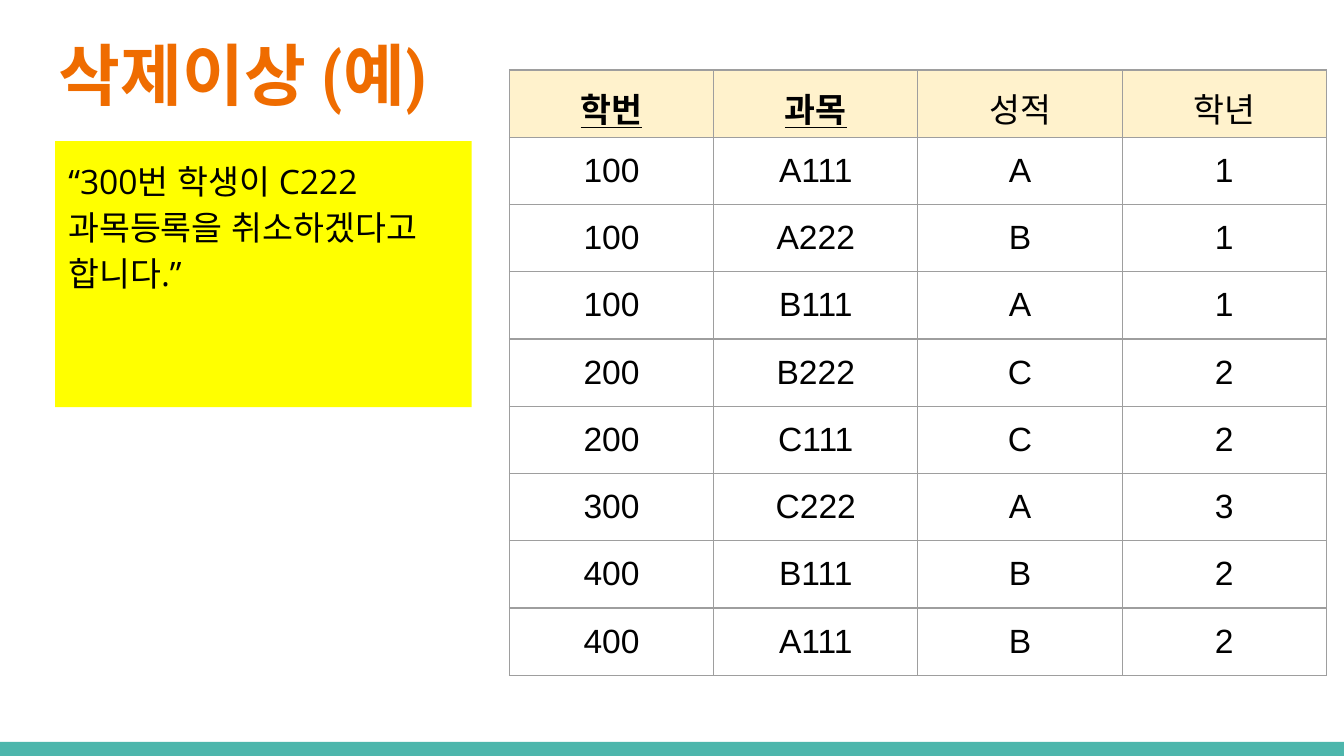
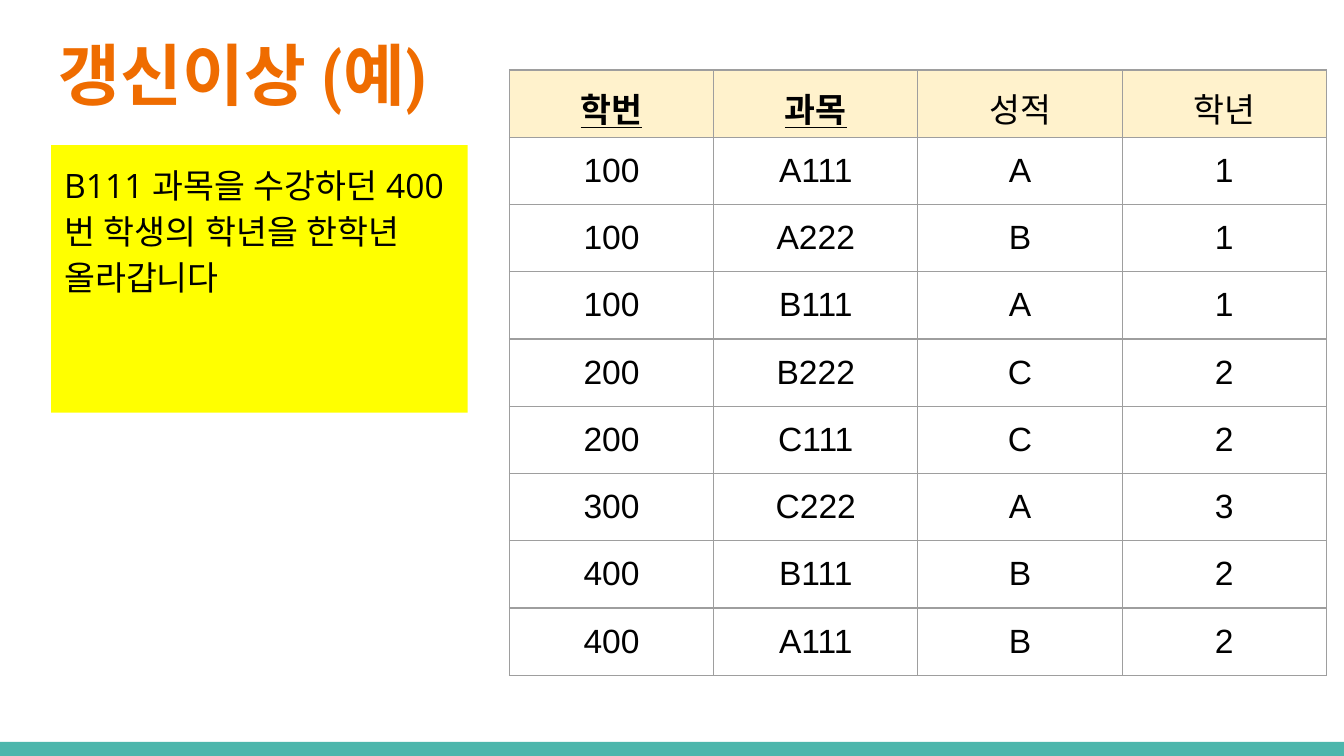
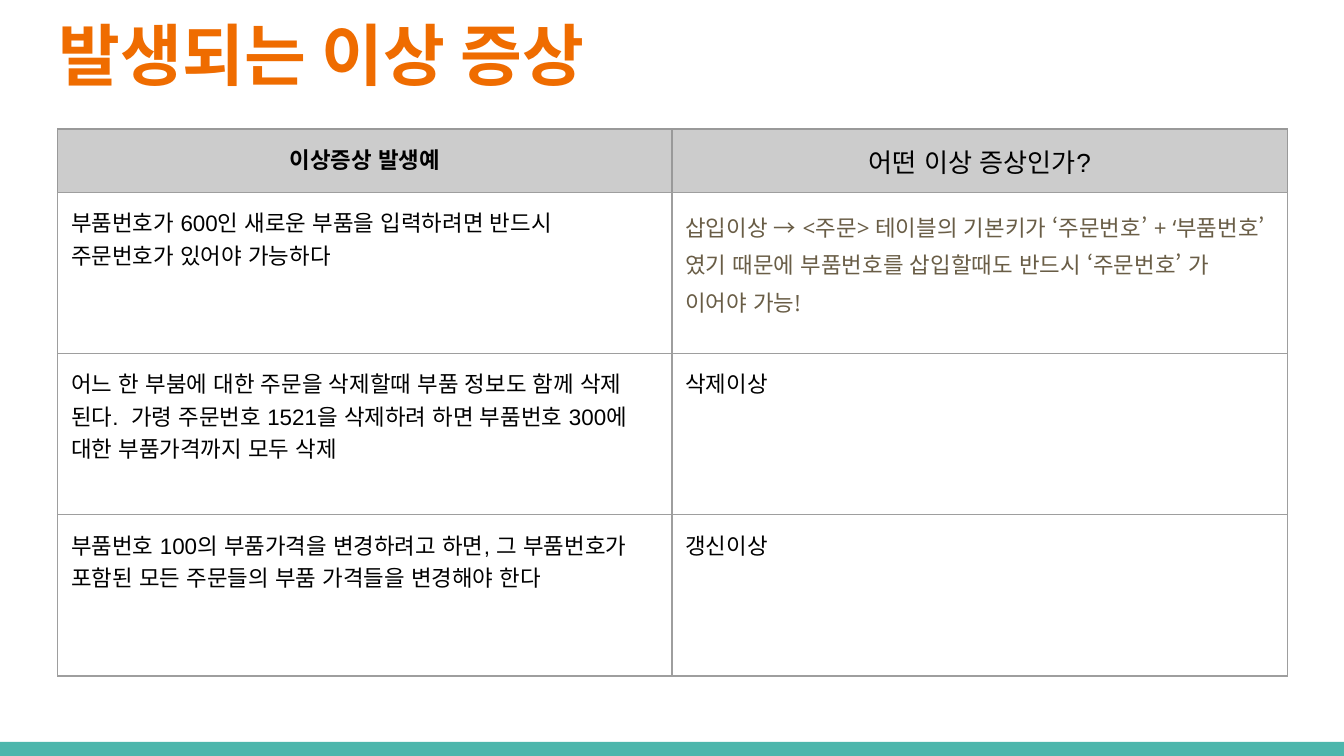
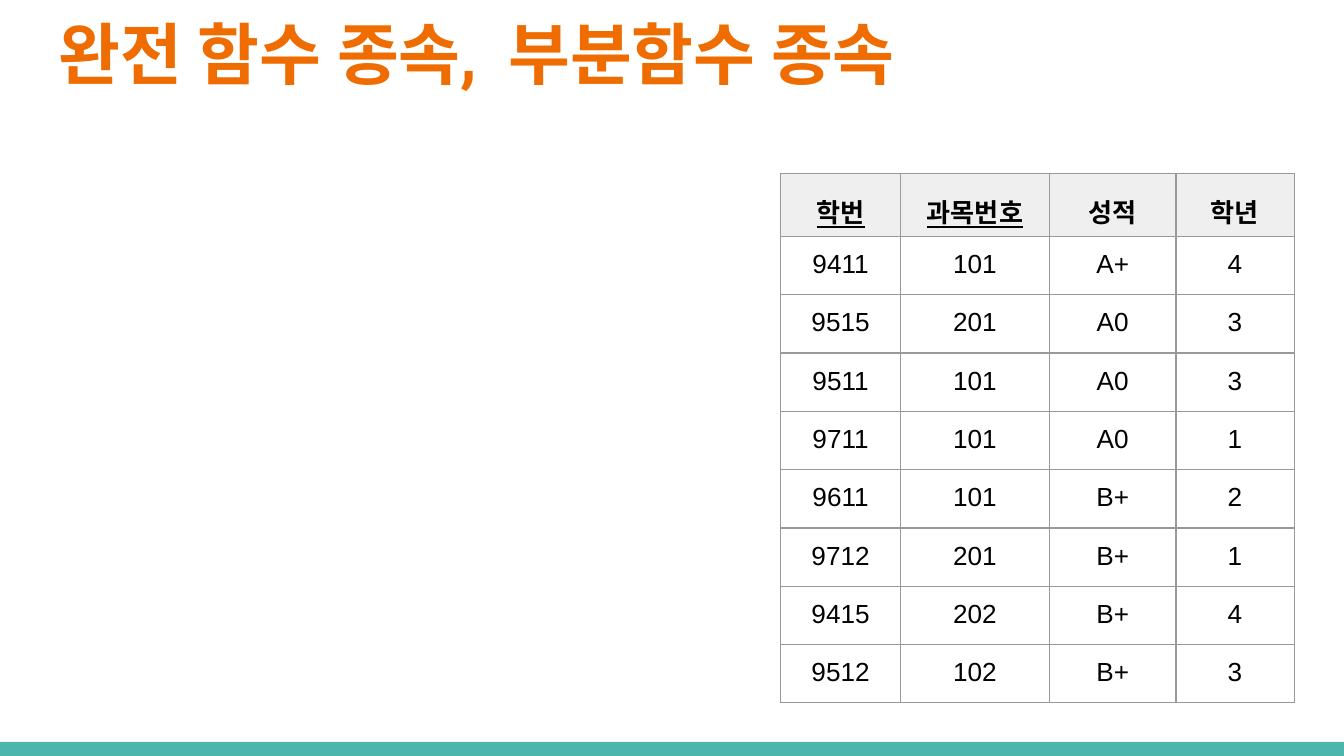
from lxml.etree import SubElement
from pptx import Presentation
from pptx.dml.color import RGBColor
from pptx.enum.lang import MSO_LANGUAGE_ID as Language
from pptx.enum.shapes import MSO_SHAPE as Shape
from pptx.enum.text import MSO_ANCHOR as Anchor, PP_ALIGN as Align
from pptx.oxml.ns import qn
from pptx.util import Inches, Pt

TEAL, ORANGE, YELLOW = "4DB6AC", "EF6C00", "FFFF00"
BLACK, BROWN = "000000", "695D46"
CREAM, SILVER, PALE = "FFF2CC", "CCCCCC", "EFEFEF"
RULE, DARK_RULE = "9E9E9E", "999999"
INSET = Inches(0.1)
rgb = RGBColor.from_string


def write(frame, text, size, face="Arial", color=BLACK, bold=False, align=Align.LEFT, hangul_face=None):
    """Fill the frame with one paragraph and return it."""
    frame.word_wrap = True
    paragraph = frame.paragraphs[0]
    paragraph.text = text
    paragraph.alignment = align
    font = paragraph.font
    font.size, font.bold = Pt(size), bold
    font.language_id = Language.KOREAN
    font.color.rgb = rgb(color)
    font.name = face
    if hangul_face:
        SubElement(paragraph._p.pPr.find(qn("a:defRPr")), qn("a:ea"), typeface=hangul_face)
    return paragraph


def add_grid(slide, left, top, widths, heights, rows, size, header_fill,
             rule=RULE, header_rule=RULE, align=Align.CENTER, anchor=Anchor.TOP):
    holder = slide.shapes.add_table(len(rows), len(widths), Inches(left), Inches(top),
                                    Inches(3.28), Inches(3.28))
    grid = holder.table
    grid.first_row = grid.horz_banding = False
    for column, width in zip(grid.columns, widths):
        column.width = Inches(width)
    for r, texts in enumerate(rows):
        grid.rows[r].height = Inches(heights[r])
        for c, text in enumerate(texts):
            cell = grid.cell(r, c)
            cell.margin_left = cell.margin_right = INSET
            cell.margin_top = cell.margin_bottom = INSET
            cell.vertical_anchor = anchor
            for side in ("lnL", "lnR", "lnT", "lnB"):
                line = SubElement(cell._tc.tcPr, qn(f"a:{side}"), w=str(Pt(0.75)))
                color = header_rule if r == 0 and side != "lnB" else rule
                SubElement(SubElement(line, qn("a:solidFill")), qn("a:srgbClr"), val=color)
            if r == 0:
                cell.fill.solid()
                cell.fill.fore_color.rgb = rgb(header_fill)
            else:
                cell.fill.background()
            write(cell.text_frame, text, size, align=align)
    # Rows grow to fit their text from this nominal frame
    holder.width = holder.height = Inches(3.28)
    return grid


deck = Presentation()
deck.slide_width, deck.slide_height = Inches(10), Inches(10) * 9 // 16

# Title, top and width of each slide's heading
headings = [
    ("삭제이상 (예)", 0.15, 3.55),
    ("갱신이상 (예)", 0.15, 3.55),
    ("발생되는 이상 증상", 0, 9.32),
    ("완전 함수 종속,  부분함수 종속", -0.01, 9.32),
]
slides = []
for heading, top, width in headings:
    slide = deck.slides.add_slide(deck.slide_layouts[6])
    slide.background.fill.solid()
    slide.background.fill.fore_color.rgb = rgb("FFFFFF")
    band = slide.shapes.add_shape(Shape.RECTANGLE, 0, Inches(5.52), Inches(10), Inches(0.11))
    band.shadow.inherit = False
    band.fill.solid()
    band.fill.fore_color.rgb = rgb(TEAL)
    band.line.fill.background()
    title = slide.shapes.add_textbox(Inches(0.34), Inches(top), Inches(width), Inches(0.77)).text_frame
    title.margin_top = title.margin_bottom = INSET
    title.vertical_anchor = Anchor.TOP
    write(title, heading, 36, "Roboto Condensed", ORANGE, bold=True, hangul_face="Roboto Condensed")
    slides.append(slide)

# Slides 1 and 2: a request beside the enrolment table
enrolments = [
    ("학번", "과목", "성적", "학년"),
    ("100", "A111", "A", "1"),
    ("100", "A222", "B", "1"),
    ("100", "B111", "A", "1"),
    ("200", "B222", "C", "2"),
    ("200", "C111", "C", "2"),
    ("300", "C222", "A", "3"),
    ("400", "B111", "B", "2"),
    ("400", "A111", "B", "2"),
]
requests = [
    ("“300번 학생이 C222 과목등록을 취소하겠다고 합니다.”", 0.41, 1.05, 1.98),
    ("B111 과목을 수강하던 400번 학생의 학년을 한학년 올라갑니다", 0.38, 1.08, 1.99),
]
for slide, (request, left, top, height) in zip(slides, requests):
    note = slide.shapes.add_shape(Shape.RECTANGLE, Inches(left), Inches(top), Inches(3.1), Inches(height))
    note.shadow.inherit = False
    note.fill.solid()
    note.fill.fore_color.rgb = rgb(YELLOW)
    note.line.fill.background()
    note.text_frame.margin_top = note.text_frame.margin_bottom = INSET
    note.text_frame.vertical_anchor = Anchor.TOP
    wording = write(note.text_frame, request, 18, "Open Sans", hangul_face="Open Sans")
    wording.line_spacing, wording.space_after = 1.15, Pt(16)

    grid = add_grid(slide, 3.79, 0.52, [1.52] * 4, [0.42] * 9, enrolments, 18, CREAM,
                    anchor=Anchor.MIDDLE)
    for key in range(2):
        key_font = grid.cell(0, key).text_frame.paragraphs[0].font
        key_font.bold = key_font.underline = True

# Slide 3: examples and the anomaly each one shows
anomalies = [
    ("이상증상 발생예", "어떤 이상 증상인가?"),
    ("부품번호가 600인 새로운 부품을 입력하려면 반드시 주문번호가 있어야 가능하다", ""),
    ("어느 한 부붐에 대한 주문을 삭제할때 부품 정보도 함께 삭제 된다.  가령 주문번호 1521을 "
     "삭제하려 하면 부품번호 300에 대한 부품가격까지 모두 삭제", "삭제이상"),
    ("부품번호 100의 부품가격을 변경하려고 하면, 그 부품번호가 포함된 모든 주문들의 "
     "부품 가격들을 변경해야 한다", "갱신이상"),
]
grid = add_grid(slides[2], 0.43, 0.96, [4.57, 4.58], [0.47, 1.2, 1.2, 1.2], anomalies, 12, SILVER,
                header_rule=DARK_RULE, align=Align.LEFT)
example_head, question_head = (grid.cell(0, c).text_frame.paragraphs[0] for c in range(2))
example_head.alignment = question_head.alignment = Align.CENTER
example_head.font.bold = True
question_head.font.size = Pt(14)
answer = write(grid.cell(1, 1).text_frame,
               "삽입이상 → <주문> 테이블의 기본키가 ‘주문번호’ + ‘부품번호’ 였기 때문에 "
               "부품번호를 삽입할때도 반드시 ‘주문번호’ 가 이어야 가능!",
               12, "Open Sans", BROWN)
answer.line_spacing, answer.space_after = 1.15, Pt(16)

# Slide 4: grades keyed by student and course
grades = [
    ("학번", "과목번호", "성적", "학년"),
    ("9411", "101", "A+", "4"),
    ("9515", "201", "A0", "3"),
    ("9511", "101", "A0", "3"),
    ("9711", "101", "A0", "1"),
    ("9611", "101", "B+", "2"),
    ("9712", "201", "B+", "1"),
    ("9415", "202", "B+", "4"),
    ("9512", "102", "B+", "3"),
]
grid = add_grid(slides[3], 5.81, 1.29, [0.89, 1.11, 0.94, 0.88], [0.42] + [0.39] * 8, grades, 14, PALE,
                rule=DARK_RULE, header_rule=DARK_RULE)
for c in range(4):
    head = grid.cell(0, c).text_frame.paragraphs[0]
    head.line_spacing = 1.15
    head.font.bold = True
    head.font.underline = c < 2

deck.save("out.pptx")
